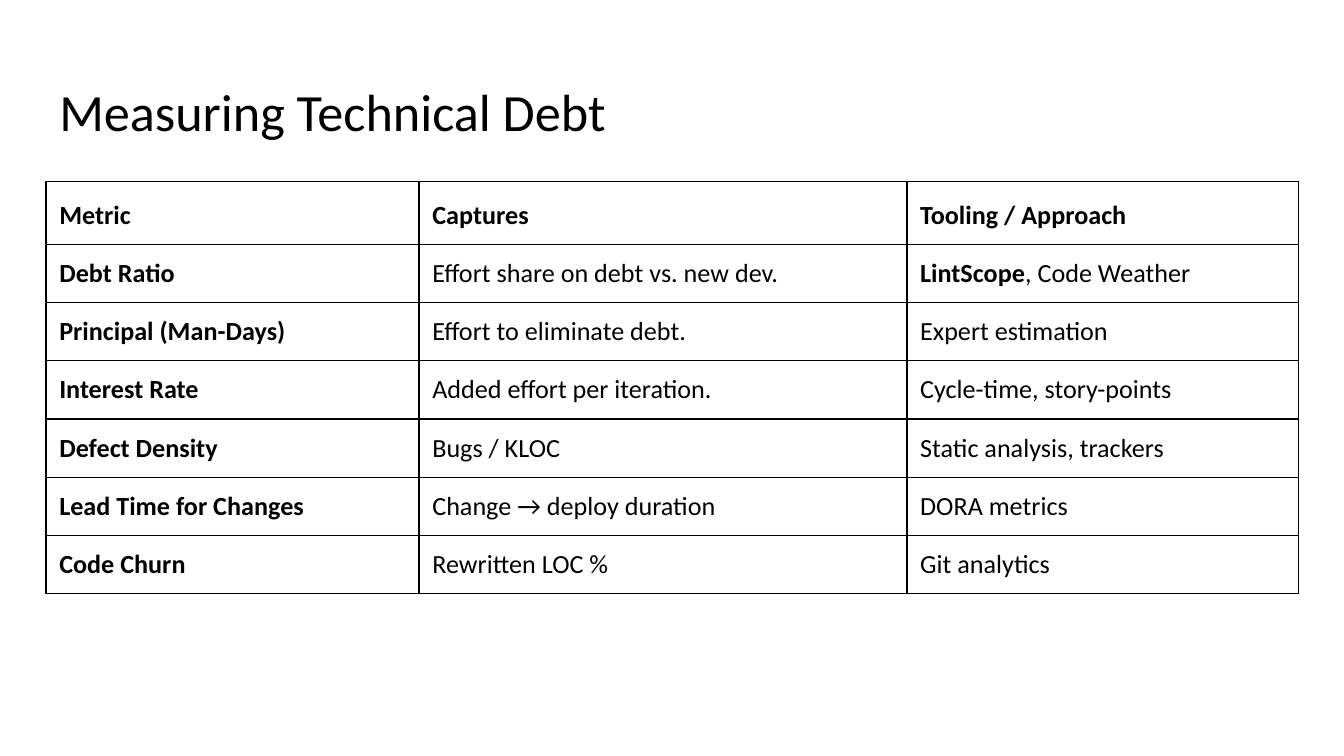
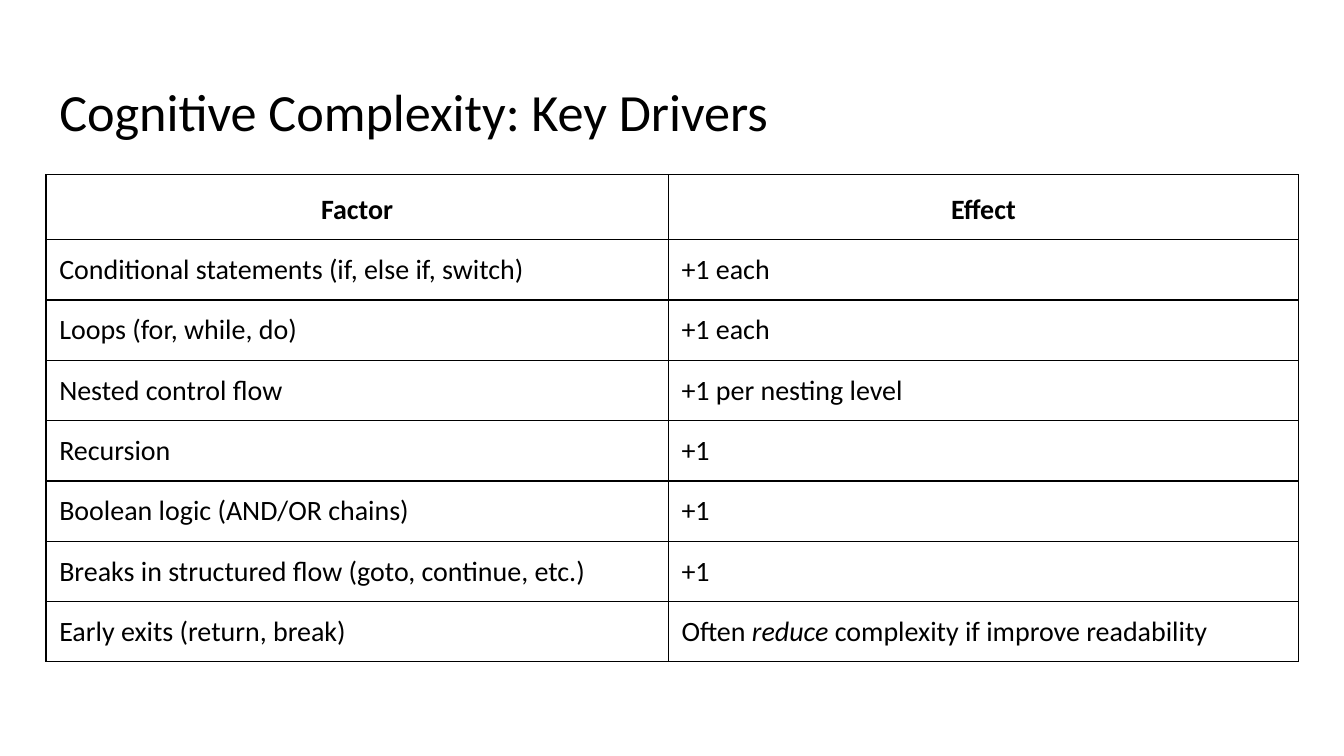
from dataclasses import dataclass

from lxml import etree
from pptx import Presentation
from pptx.dml.color import RGBColor
from pptx.enum.text import MSO_ANCHOR, MSO_AUTO_SIZE, PP_ALIGN
from pptx.oxml.ns import qn
from pptx.util import Cm, Pt

LEFT, CENTER = PP_ALIGN.LEFT, PP_ALIGN.CENTER
TOP, MIDDLE = MSO_ANCHOR.TOP, MSO_ANCHOR.MIDDLE
GROW = MSO_AUTO_SIZE.SHAPE_TO_FIT_TEXT
TITLE_ONLY = 5


@dataclass(frozen=True)
class Theme:
    font: str = "Calibri"
    ink: str = "000000"
    paper: str = "FFFFFF"
    title_size: int = 28
    metrics_size: int = 14
    drivers_size: int = 15
    header_spacing: float = 1.15
    border: int = Pt(0.75)
    inset: int = Cm(0.25)


@dataclass(frozen=True)
class Box:
    left: int
    top: int
    width: int
    height: int


THEME = Theme()
TITLE_BOX = Box(Cm(0.87), Cm(1.24), Cm(23.67), Cm(1.7))

METRICS = [
    ("Metric", "Captures", "Tooling / Approach"),
    ("Debt Ratio", "Effort share on debt vs. new dev.",
     [("LintScope", {"bold": True}), (", Code Weather", {})]),
    ("Principal (Man-Days)", "Effort to eliminate debt.", "Expert estimation"),
    ("Interest Rate", "Added effort per iteration.", "Cycle-time, story-points"),
    ("Defect Density", "Bugs / KLOC", "Static analysis, trackers"),
    ("Lead Time for Changes", "Change → deploy duration", "DORA metrics"),
    ("Code Churn", "Rewritten LOC %", "Git analytics"),
]

DRIVERS = [
    ("Factor", "Effect"),
    ("Conditional statements (if, else if, switch)", "+1 each"),
    ("Loops (for, while, do)", "+1 each"),
    ("Nested control flow", "+1 per nesting level"),
    ("Recursion", "+1"),
    ("Boolean logic (AND/OR chains)", "+1"),
    ("Breaks in structured flow (goto, continue, etc.)", "+1"),
    ("Early exits (return, break)",
     [("Often ", {}), ("reduce", {"italic": True}),
      (" complexity if improve readability", {})]),
]


def write_text(frame, text, size, bold=False, align=LEFT, spacing=1.0):
    """Fill a text frame from a string or a list of (text, format) spans."""
    para = frame.paragraphs[0]
    para.alignment = align
    para.line_spacing = spacing
    spans = [(text, {})] if isinstance(text, str) else text
    for words, style in spans:
        span = para.add_run()
        span.text = words
        font = span.font
        font.name = THEME.font
        font.size = Pt(size)
        font.color.rgb = RGBColor.from_string(THEME.ink)
        font.bold = style.get("bold", bold)
        font.italic = style.get("italic", False)


def set_insets(target):
    target.margin_left = target.margin_right = THEME.inset
    target.margin_top = target.margin_bottom = THEME.inset


def outline_cell(cell):
    properties = cell._tc.get_or_add_tcPr()
    for side in ("a:lnL", "a:lnR", "a:lnT", "a:lnB"):
        line = etree.SubElement(properties, qn(side), w=str(THEME.border))
        fill = etree.SubElement(line, qn("a:solidFill"))
        etree.SubElement(fill, qn("a:srgbClr"), val=THEME.ink)


def add_title(page, text, box):
    title = page.shapes.title
    title.left, title.top = box.left, box.top
    title.width, title.height = box.width, box.height
    frame = title.text_frame
    set_insets(frame)
    frame.word_wrap = True
    frame.auto_size = GROW
    frame.vertical_anchor = TOP
    write_text(frame, text, THEME.title_size)


def add_grid(page, rows, box, widths, header_height, size,
             anchor=TOP, header_align=LEFT, bold_labels=False):
    """Add a ruled table whose body rows share the height below the header."""
    table = page.shapes.add_table(len(rows), len(widths), box.left, box.top,
                                  box.width, box.height).table
    table.first_row = table.horz_banding = False
    for column, width in zip(table.columns, widths):
        column.width = width
    body_height = (box.height - header_height) // (len(rows) - 1)
    for row_index, row in enumerate(rows):
        header = row_index == 0
        table.rows[row_index].height = header_height if header else body_height
        for column_index, text in enumerate(row):
            cell = table.cell(row_index, column_index)
            set_insets(cell)
            cell.vertical_anchor = anchor
            outline_cell(cell)
            cell.fill.background()
            write_text(cell.text_frame, text, size,
                       bold=header or (bold_labels and column_index == 0),
                       align=header_align if header else LEFT,
                       spacing=THEME.header_spacing if header else 1.0)


def add_page(deck, title):
    page = deck.slides.add_slide(deck.slide_layouts[TITLE_ONLY])
    fill = page.background.fill
    fill.solid()
    fill.fore_color.rgb = RGBColor.from_string(THEME.paper)
    add_title(page, title, TITLE_BOX)
    return page


def add_metrics_page(deck):
    page = add_page(deck, "Measuring Technical Debt")
    box = Box(TITLE_BOX.left, Cm(3.43), TITLE_BOX.width, Cm(7.79))
    add_grid(page, METRICS, box, [Cm(7.05), Cm(9.22), Cm(7.4)], Cm(1.19),
             THEME.metrics_size, anchor=MIDDLE, bold_labels=True)


def add_drivers_page(deck):
    page = add_page(deck, "Cognitive Complexity: Key Drivers")
    box = Box(TITLE_BOX.left, Cm(3.3), TITLE_BOX.width, Cm(9.21))
    add_grid(page, DRIVERS, box, [Cm(11.76), Cm(11.91)], Cm(1.23),
             THEME.drivers_size, header_align=CENTER)


def main():
    deck = Presentation()
    deck.slide_width, deck.slide_height = Cm(25.4), Cm(14.29)
    add_metrics_page(deck)
    add_drivers_page(deck)
    deck.save("out.pptx")


if __name__ == "__main__":
    main()
